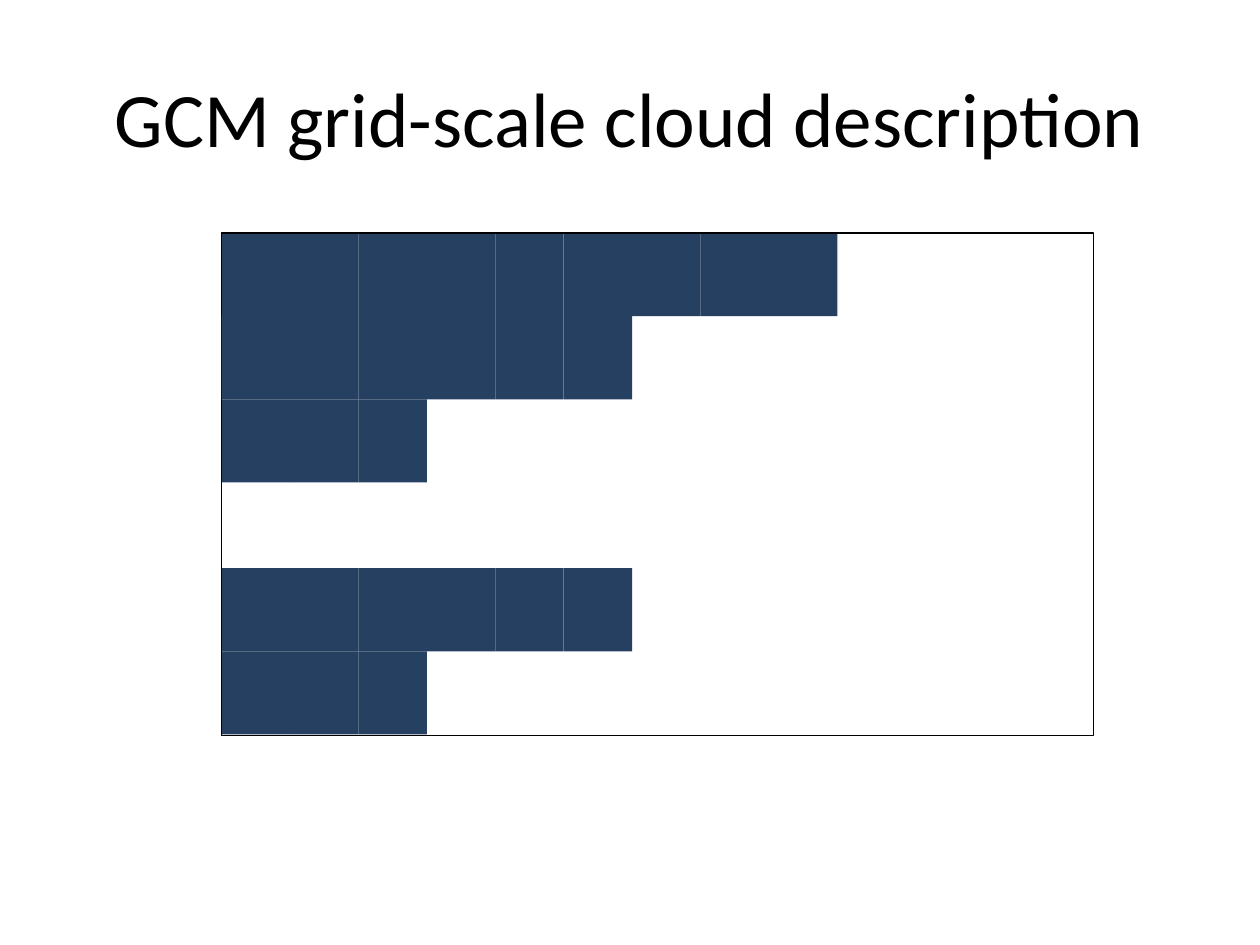
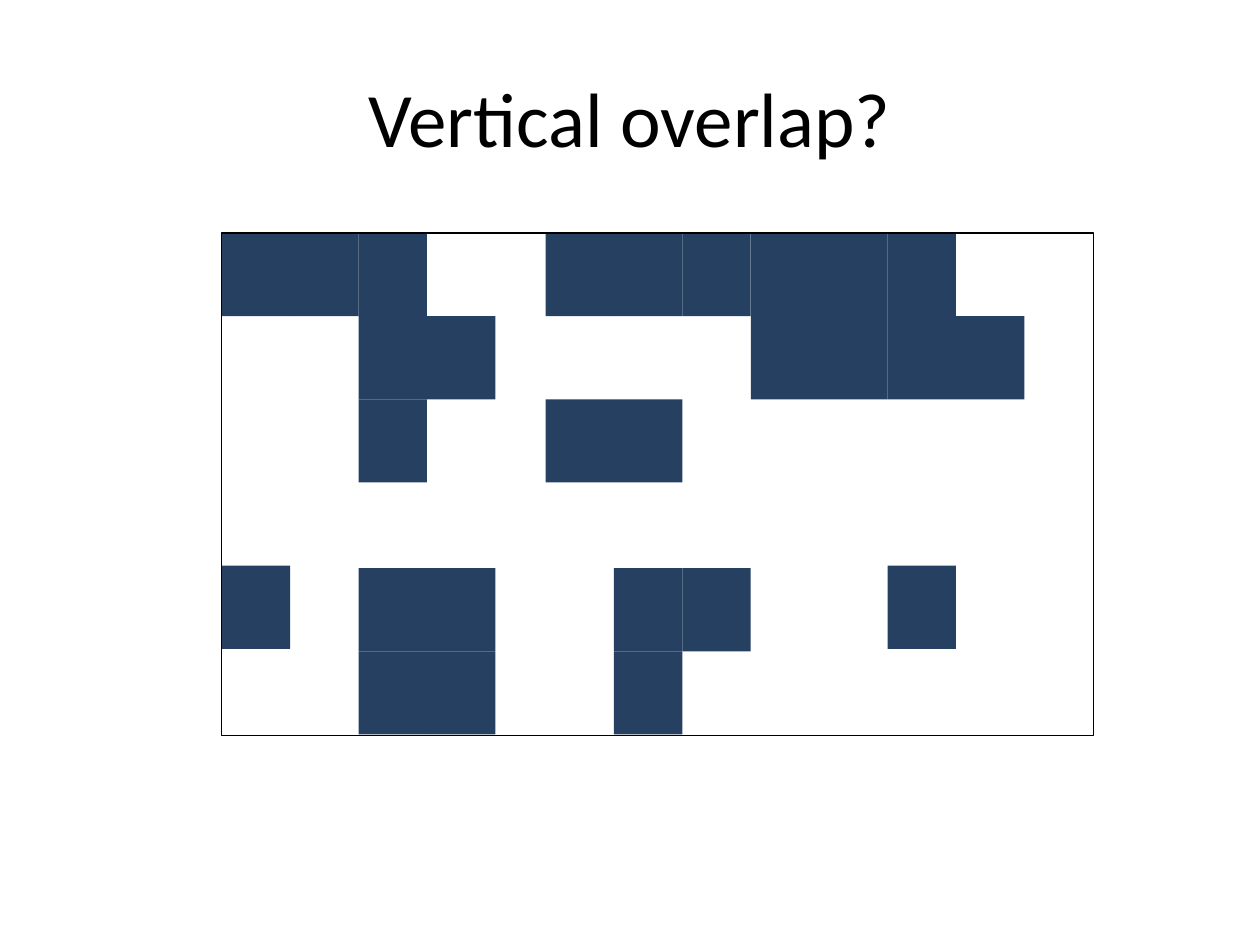
from dataclasses import dataclass

from pptx import Presentation
from pptx.dml.color import RGBColor
from pptx.enum.shapes import MSO_SHAPE
from pptx.enum.text import MSO_ANCHOR, PP_ALIGN
from pptx.slide import Slide
from pptx.util import Inches, Pt


@dataclass(frozen=True)
class Theme:
    font: str = "Calibri"
    title_size: Pt = Pt(44)
    outline_width: Pt = Pt(0.75)
    text: RGBColor = RGBColor(0x00, 0x00, 0x00)
    outline: RGBColor = RGBColor(0x00, 0x00, 0x00)
    cloud: RGBColor = RGBColor(0x25, 0x40, 0x61)


@dataclass(frozen=True)
class CloudRun:
    top: int
    cells: int
    first_column: int = 0
    left: int = Inches(1.76)


@dataclass(frozen=True)
class CloudSlide:
    title: str
    runs_behind_frame: tuple[CloudRun, ...]
    runs_before_frame: tuple[CloudRun, ...]


THEME = Theme()
FRAME_LEFT, FRAME_TOP = Inches(1.76), Inches(1.85)
FRAME_WIDTH, FRAME_HEIGHT = Inches(6.92), Inches(3.99)
CELL_WIDTH = Inches(3.8) // 7
CELL_HEIGHT = Inches(0.66)
HIGH, UPPER, MIDDLE = (FRAME_TOP + level * CELL_HEIGHT for level in range(3))
LOWER = Inches(4.51)
BOTTOM = LOWER + CELL_HEIGHT
RAISED = Inches(4.49)
SECOND_GROUP = Inches(4.33)

CLOUD_SLIDES = (
    CloudSlide(
        "GCM grid-scale cloud description",
        (
            CloudRun(LOWER, 6),
            CloudRun(MIDDLE, 3),
            CloudRun(BOTTOM, 3),
            CloudRun(HIGH, 9),
        ),
        (CloudRun(UPPER, 6),),
    ),
    CloudSlide(
        "Vertical overlap?",
        (
            CloudRun(LOWER, 2, 2),
            CloudRun(LOWER, 2, 1, SECOND_GROUP),
            CloudRun(MIDDLE, 1, 2),
            CloudRun(MIDDLE, 2, 0, SECOND_GROUP),
            CloudRun(BOTTOM, 2, 2),
            CloudRun(BOTTOM, 1, 1, SECOND_GROUP),
            CloudRun(RAISED, 1),
            CloudRun(RAISED, 1, 5, SECOND_GROUP),
            CloudRun(HIGH, 3),
            CloudRun(HIGH, 6, 0, SECOND_GROUP),
        ),
        (
            CloudRun(UPPER, 2, 2),
            CloudRun(UPPER, 4, 3, SECOND_GROUP),
        ),
    ),
)


def add_title(slide: Slide, title: str) -> None:
    shape = slide.shapes.add_textbox(Inches(0.5), Inches(0.3), Inches(9), Inches(1.25))
    shape.text_frame.word_wrap = True
    shape.text_frame.vertical_anchor = MSO_ANCHOR.MIDDLE
    paragraph = shape.text_frame.paragraphs[0]
    paragraph.alignment = PP_ALIGN.CENTER
    run = paragraph.add_run()
    run.text = title
    run.font.name = THEME.font
    run.font.size = THEME.title_size
    run.font.color.rgb = THEME.text


def add_cloud_run(slide: Slide, cloud_run: CloudRun) -> None:
    for column in range(cloud_run.first_column, cloud_run.first_column + cloud_run.cells):
        shape = slide.shapes.add_shape(
            MSO_SHAPE.RECTANGLE,
            cloud_run.left + column * CELL_WIDTH,
            cloud_run.top,
            CELL_WIDTH,
            CELL_HEIGHT,
        )
        shape.shadow.inherit = False
        shape.fill.solid()
        shape.fill.fore_color.rgb = THEME.cloud
        shape.line.fill.background()


def add_frame(slide: Slide) -> None:
    shape = slide.shapes.add_shape(
        MSO_SHAPE.RECTANGLE, FRAME_LEFT, FRAME_TOP, FRAME_WIDTH, FRAME_HEIGHT
    )
    shape.shadow.inherit = False
    shape.fill.background()
    shape.line.color.rgb = THEME.outline
    shape.line.width = THEME.outline_width


def main() -> None:
    presentation = Presentation()
    presentation.slide_width = Inches(10)
    presentation.slide_height = Inches(7.5)
    blank_layout = presentation.slide_layouts[6]
    for cloud_slide in CLOUD_SLIDES:
        slide = presentation.slides.add_slide(blank_layout)
        add_title(slide, cloud_slide.title)
        for cloud_run in cloud_slide.runs_behind_frame:
            add_cloud_run(slide, cloud_run)
        add_frame(slide)
        for cloud_run in cloud_slide.runs_before_frame:
            add_cloud_run(slide, cloud_run)
    presentation.save("out.pptx")


if __name__ == "__main__":
    main()
